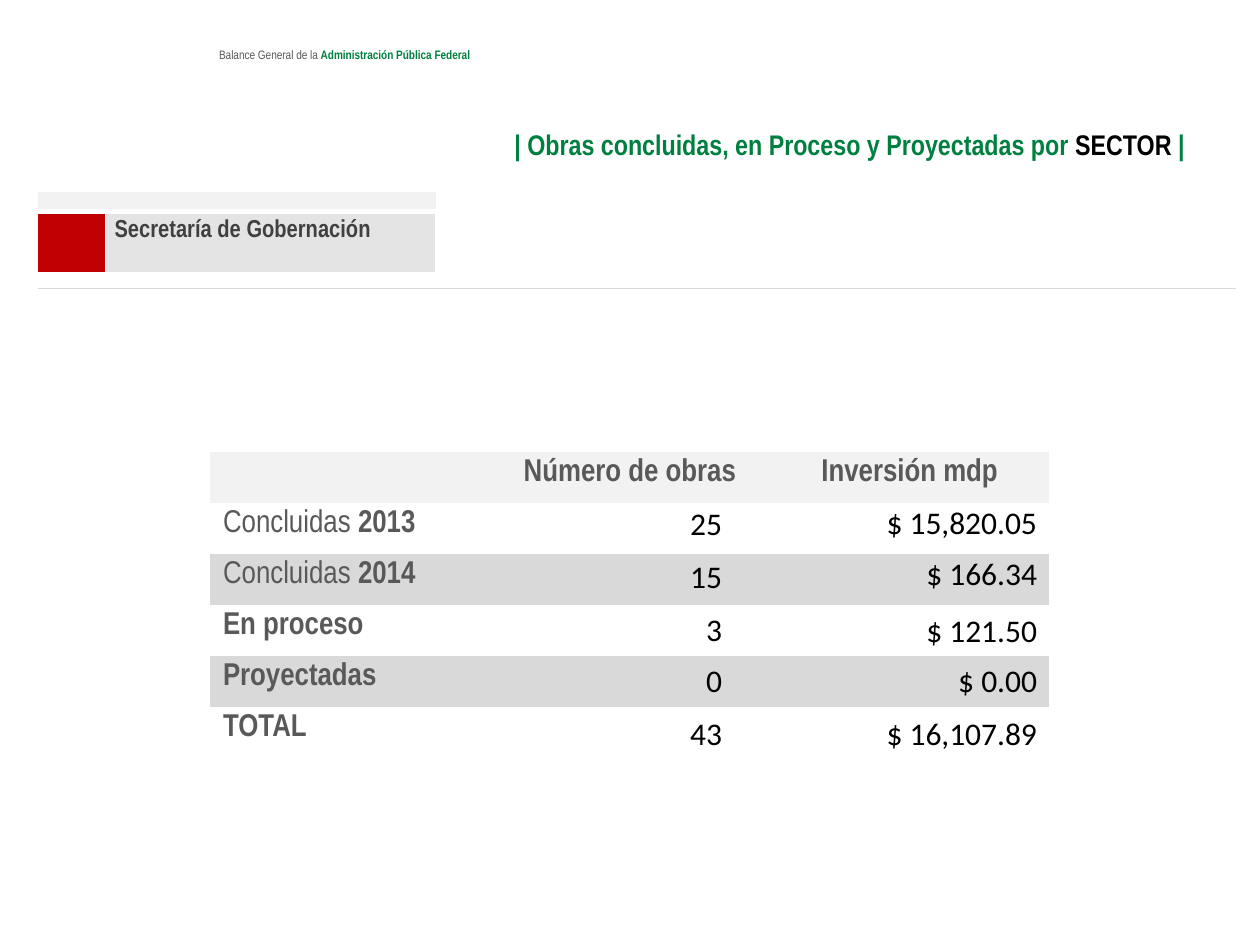
from lxml.etree import SubElement
from pptx import Presentation
from pptx.dml.color import RGBColor
from pptx.enum.text import MSO_ANCHOR as Anchor, PP_ALIGN as Align
from pptx.oxml.ns import qn
from pptx.util import Inches, Pt

COLORS = {
    "green": "008040", "black": "000000", "gray": "595959", "dark": "404040",
    "red": "C00000", "pale": "F2F2F2", "light": "E4E4E4", "band": "D9D9D9",
    "white": "FFFFFF",
}
NO_STYLE = "{2D5ABB26-0587-4C30-8999-92F81FD0307C}"


def write(frame, runs, size, font="Arial Narrow", **paragraph_format):
    frame.word_wrap = True
    paragraph = frame.paragraphs[0]
    for name, value in paragraph_format.items():
        setattr(paragraph, name, value)
    for text, color, bold in runs:
        run = paragraph.add_run()
        run.text = text
        for name, value in {"size": Pt(size), "name": font, "bold": bold}.items():
            setattr(run.font, name, value)
        run.font.color.rgb = RGBColor.from_string(COLORS[color])


def place_table(left, top, widths, heights):
    frame = slide.shapes.add_table(
        len(heights), len(widths), Inches(left), Inches(top),
        Inches(sum(widths)), Inches(sum(heights)))
    table = frame.table
    table.first_row = table.horz_banding = False
    table._tbl.tblPr.find(qn("a:tableStyleId")).text = NO_STYLE
    for column, width in zip(table.columns, widths):
        column.width = Inches(width)
    for row, height in zip(table.rows, heights):
        row.height = Inches(height)
    return table


prs = Presentation()
prs.slide_width, prs.slide_height = Inches(10), Inches(7.5)
slide = prs.slides.add_slide(prs.slide_layouts[6])

header = slide.shapes.add_textbox(Inches(1.64), Inches(0.35), Inches(4.49), Inches(0.2))
write(header.text_frame, [
    ("Balance General de la ", "gray", False),
    ("Administración Pública Federal", "green", True),
], 7, line_spacing=0.8)

sector = place_table(0.3, 1.52, [0.54, 2.62, 6.35], [0.16, 0.5, 0.11, 5])
for row, last in [(0, 1), (2, 1), (3, 2)]:
    sector.cell(row, 0).merge(sector.cell(row, last))
for cell in sector.iter_cells():
    cell.margin_top = cell.margin_bottom = 0
    SubElement(cell.text_frame.paragraphs[0]._p, qn("a:endParaRPr"), sz="100")

sector_fills = {(0, 0): "pale", (0, 1): "pale", (1, 0): "red", (1, 1): "light"}
for position, color in sector_fills.items():
    fill = sector.cell(*position).fill
    fill.solid()
    fill.fore_color.rgb = RGBColor.from_string(COLORS[color])

sector_borders = [
    (0, 0, "lnB", "white", 3), (0, 1, "lnB", "white", 3),
    (1, 0, "lnT", "white", 3), (1, 1, "lnT", "white", 3),
    (1, 0, "lnR", "white", 0.5), (1, 1, "lnL", "white", 0.5),
    *[(2, column, "lnB", "band", 0.25) for column in range(3)],
    *[(3, column, "lnT", "band", 0.25) for column in range(3)],
]
for row, column, side, color, width in sector_borders:
    properties = sector.cell(row, column)._tc.get_or_add_tcPr()
    border = SubElement(properties, qn(f"a:{side}"), w=str(Pt(width)))
    SubElement(SubElement(border, qn("a:solidFill")), qn("a:srgbClr"), val=COLORS[color])
    fills = properties.findall(qn("a:solidFill"))
    for fill in fills:
        properties.append(fill)

ministry = sector.cell(1, 1)
ministry_format = {
    "vertical_anchor": Anchor.MIDDLE, "margin_left": Inches(0.07),
    "margin_right": Inches(0.07), "margin_bottom": Inches(0.16),
}
for name, value in ministry_format.items():
    setattr(ministry, name, value)
write(ministry.text_frame, [("Secretaría de Gobernación", "dark", True)], 14,
      line_spacing=Pt(11))

title = slide.shapes.add_textbox(Inches(0.5), Inches(0.91), Inches(9), Inches(0.43))
title.text_frame.vertical_anchor = Anchor.MIDDLE
write(title.text_frame, [
    ("| Obras concluidas, en Proceso y Proyectadas por ", "green", True),
    ("SECTOR ", "black", True),
    ("|", "green", True),
], 16.2, alignment=Align.RIGHT, line_spacing=1.15)

works = place_table(1.67, 3.59, [2.22] * 3, [0.405] * 6)
for row, color in {0: "pale", 2: "band", 4: "band"}.items():
    for cell in works.rows[row].cells:
        cell.fill.solid()
        cell.fill.fore_color.rgb = RGBColor.from_string(COLORS[color])
for column, heading in enumerate(["Número de obras", "Inversión mdp"], start=1):
    write(works.cell(0, column).text_frame, [(heading, "gray", True)], 18,
          alignment=Align.CENTER)

stages = [
    ("Concluidas ", "2013", "25", 3.95, "$ 15,820.05", 3.94),
    ("Concluidas ", "2014", "15", 4.37, "$ 166.34", 4.35),
    ("", "En proceso", "3", 4.79, "$ 121.50", 4.8),
    ("", "Proyectadas", "0", 5.2, "$ 0.00", 5.2),
    ("", "TOTAL", "43", 5.62, "$ 16,107.89", 5.62),
]
for row, (prefix, stage, count, count_top, amount, amount_top) in enumerate(stages, start=1):
    label = [(prefix, "gray", False)] if prefix else []
    write(works.cell(row, 0).text_frame, label + [(stage, "gray", True)], 18)
    for value, left, top, width in [(count, 4.16, count_top, 1.67),
                                    (amount, 6.57, amount_top, 1.76)]:
        figure = slide.shapes.add_textbox(
            Inches(left), Inches(top), Inches(width), Inches(0.37))
        write(figure.text_frame, [(value, "black", False)], 18, "Calibri",
              alignment=Align.RIGHT)

prs.save("out.pptx")
